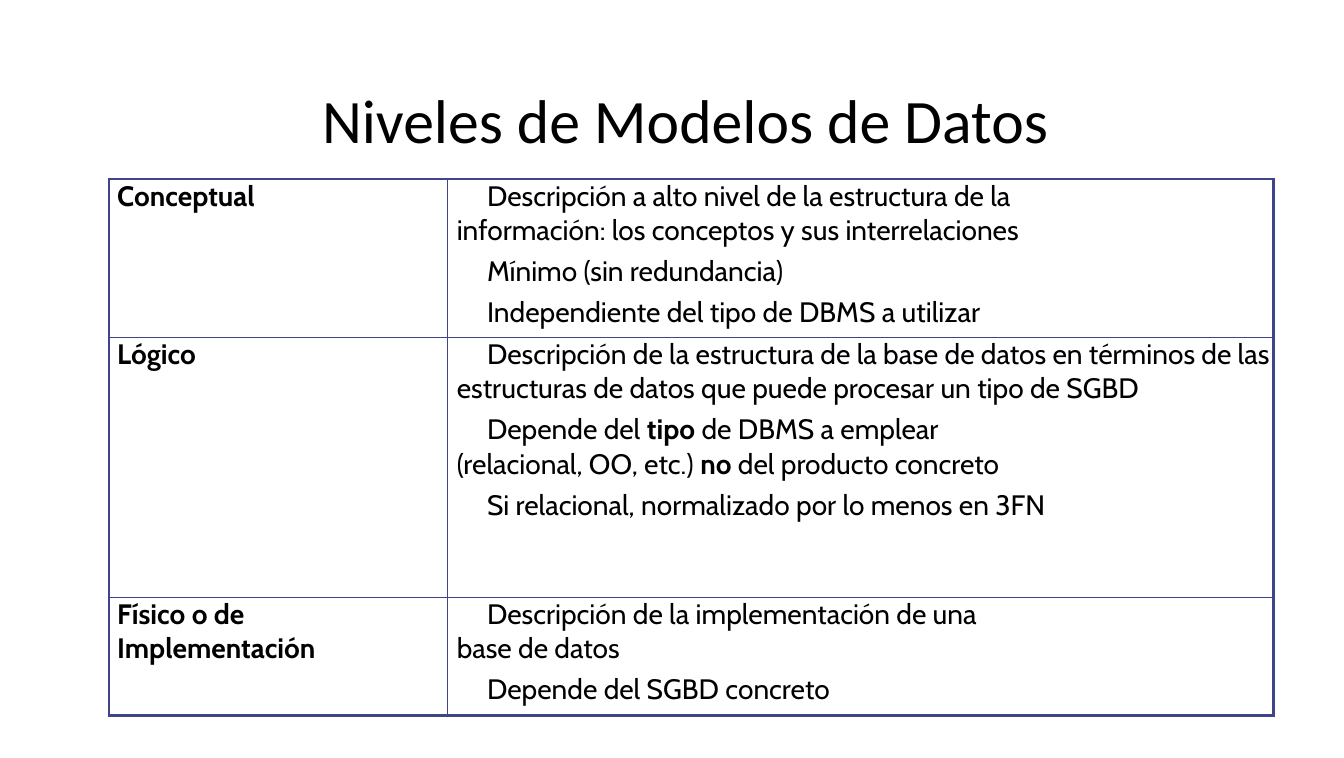
from lxml.etree import SubElement
from pptx import Presentation
from pptx.dml.color import RGBColor
from pptx.enum.text import MSO_ANCHOR as Anchor, MSO_AUTO_SIZE as AutoSize, PP_ALIGN as Align
from pptx.oxml.ns import qn
from pptx.util import Inches, Pt

LEVELS = [
    (1.57, ["Conceptual"], [
        ("item", ["Descripción a alto nivel de la estructura de la"]),
        ("rest", ["información: los conceptos y sus interrelaciones"]),
        ("item", ["Mínimo (sin redundancia)"]),
        ("item", ["Independiente del tipo de DBMS a utilizar"]),
    ]),
    (2.57, ["Lógico"], [
        ("item", ["Descripción de la estructura de la base de datos en términos "
                  "de las estructuras de datos que puede procesar un tipo de SGBD"]),
        ("item", ["Depende del ", "tipo ", "de DBMS a emplear"]),
        ("rest", ["(relacional, OO, etc.) ", "no ", "del producto concreto"]),
        ("item", ["Si relacional, normalizado por lo menos en 3FN"]),
    ]),
    (1.17, ["Físico o de", "Implementación"], [
        ("item", ["Descripción de la implementación de una"]),
        ("rest", ["base de datos"]),
        ("item", ["Depende del SGBD concreto"]),
    ]),
]
COLUMNS = [3.35, 8.17]


def color(value):
    return RGBColor.from_string(value)


class LevelsSlide:
    ink = "000000"
    rule = "40458B"
    title_font = "Calibri"
    body_font = "Cabin"
    thick, thin = 2.25, 1

    def __init__(self, deck):
        self.page = deck.slides.add_slide(deck.slide_layouts[5])

    def span(self, para, text, font, size, bold=False):
        run = para.add_run()
        run.text = text
        run.font.name = font
        run.font.size = Pt(size)
        run.font.bold = bold
        run.font.color.rgb = color(self.ink)

    def indent(self, para, margin, first=0):
        properties = para._p.get_or_add_pPr()
        properties.set("marL", str(Inches(margin)))
        properties.set("indent", str(Inches(first)))

    def title(self, text):
        box = self.page.shapes.title
        box.left, box.top = Inches(0.66), Inches(0.45)
        box.width, box.height = Inches(11.98), Inches(1.1)
        frame = box.text_frame
        frame.word_wrap = True
        frame.auto_size = AutoSize.SHAPE_TO_FIT_TEXT
        frame.vertical_anchor = Anchor.MIDDLE
        frame.margin_left = frame.margin_right = frame.margin_bottom = 0
        frame.margin_top = Inches(0.35)
        para = frame.paragraphs[0]
        self.indent(para, 0.27)
        para.alignment = Align.CENTER
        para.line_spacing = Pt(52.5)
        self.span(para, text, self.title_font, 44)

    def paragraphs(self, cell, count):
        frame = cell.text_frame
        return [frame.add_paragraph() if index else frame.paragraphs[0]
                for index in range(count)]

    def name_cell(self, cell, lines):
        for para, line in zip(self.paragraphs(cell, len(lines)), lines):
            self.indent(para, 0.08)
            self.span(para, line, self.body_font, 20, True)

    def detail_cell(self, cell, details):
        paras = self.paragraphs(cell, len(details))
        for index, (para, (kind, parts)) in enumerate(zip(paras, details)):
            is_item = kind == "item"
            self.indent(para, 0.09, 0.3 if is_item else 0)
            if is_item and index:
                para.space_before = Pt(4.8)
            for position, part in enumerate(parts):
                self.span(para, part, self.body_font, 20, position % 2 == 1)

    def borders(self, cell, outer):
        properties = cell._tc.get_or_add_tcPr()
        for position, side in enumerate("LRTB"):
            width = self.thick if side in outer else self.thin
            line = SubElement(properties, qn(f"a:ln{side}"), w=str(Pt(width)))
            fill = SubElement(line, qn("a:solidFill"))
            SubElement(fill, qn("a:srgbClr"), val=self.rule)
            properties.insert(position, line)

    def table(self, levels):
        heights = [height for height, _, _ in levels]
        grid = self.page.shapes.add_table(
            len(levels), len(COLUMNS), Inches(1.08), Inches(1.77),
            Inches(sum(COLUMNS)), Inches(sum(heights))).table
        grid.first_row = grid.horz_banding = False
        for column, width in zip(grid.columns, COLUMNS):
            column.width = Inches(width)
        for index, (height, name, details) in enumerate(levels):
            grid.rows[index].height = Inches(height)
            edges = "T" * (index == 0) + "B" * (index == len(levels) - 1)
            for column, side in enumerate("LR"):
                cell = grid.cell(index, column)
                cell.margin_left = cell.margin_right = 0
                cell.margin_top = cell.margin_bottom = 0
                cell.fill.background()
                self.borders(cell, edges + side)
            self.name_cell(grid.cell(index, 0), name)
            self.detail_cell(grid.cell(index, 1), details)


def main():
    deck = Presentation()
    deck.slide_width, deck.slide_height = Inches(13.3), Inches(7.5)
    slide = LevelsSlide(deck)
    slide.title("Niveles de Modelos de Datos")
    slide.table(LEVELS)
    deck.save("out.pptx")


if __name__ == "__main__":
    main()
